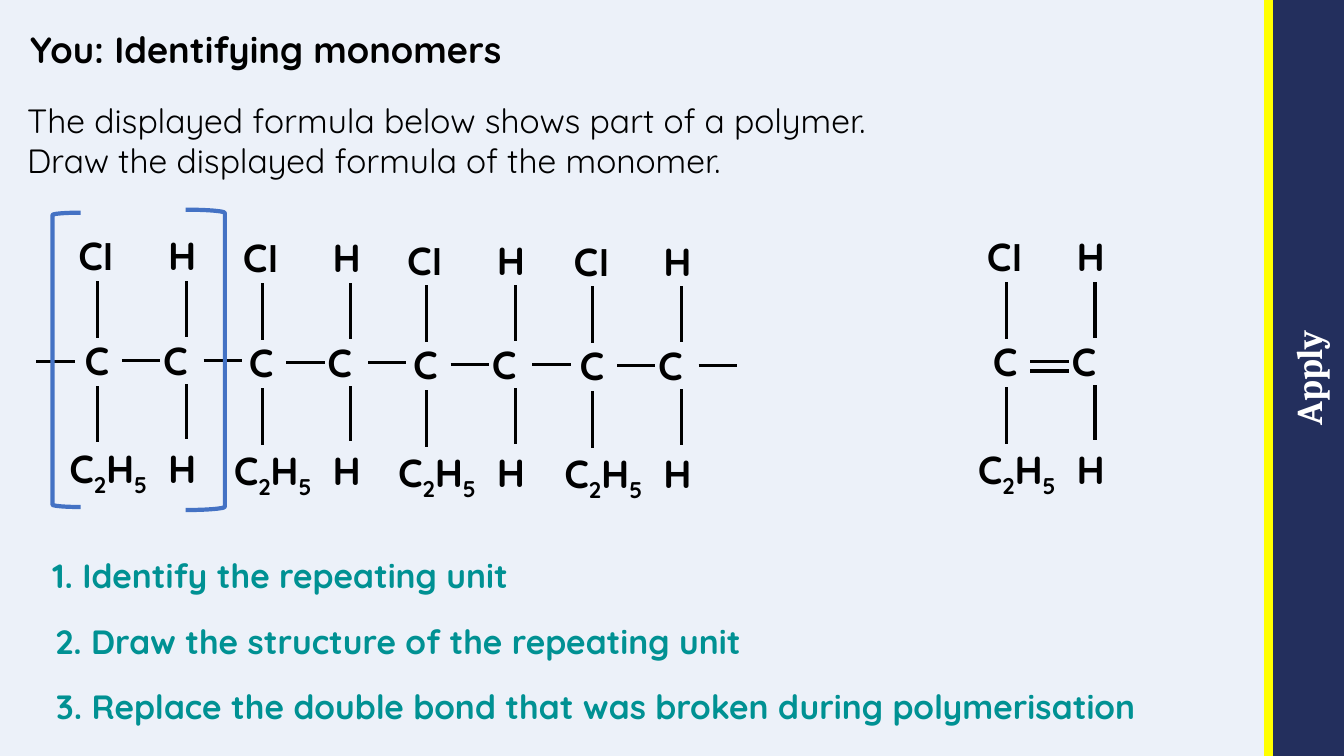
from lxml import etree
from pptx import Presentation
from pptx import util as u
from pptx.dml.color import RGBColor
from pptx.enum import shapes, text
from pptx.oxml.ns import qn

SIZE = (13.33, 7.5)
PAPER, NAVY, YELLOW, BLUE = "ECF1F9", "232F5D", "FFFF00", "4472C4"
TITLE = "You: Identifying monomers"
TASK = ["The displayed formula below shows part of a polymer.",
        "Draw the displayed formula of the monomer."]
STEPS = [  # text, left, top, width
    ("1. Identify the repeating unit", 0.42, 5.46, 4.75),
    ("2. Draw the structure of the repeating unit", 0.45, 6.11, 7.09),
    ("3. Replace the double bond that was broken during polymerisation",
     0.46, 6.76, 11.06)]

HEAD = {"size": u.Pt(26), "name": "Quicksand", "bold": True}
BODY = {"size": u.Pt(24), "name": "Quicksand", "bold": False}
STEP = {"size": u.Pt(24), "name": "Quicksand", "bold": True}
ATOM = {"size": u.Pt(28), "name": "Quicksand", "bold": True}
ELL = {**ATOM, "name": "Karla"}
SIDE = {"size": u.Pt(26), "name": "Cambria", "bold": True}

# Each unit is placed by the corner of its carbon row
CHAIN = [(0.74, 3.29), (2.37, 3.31), (4.0, 3.33), (5.65, 3.34)]
MONOMER = (9.75, 3.3)
ROWS = [  # dx, dy, width, height, tab stop, runs (text, format, baseline)
    (0, 0, 1.46, 0.59, 0.78, [("C\tC", ATOM, 0)]),
    (-0.06, -1.04, 1.56, 0.52, 0.89,
     [("C", ATOM, 0), ("l", ELL, 0), ("\tH", ATOM, 0)]),
    (-0.15, 1.07, 1.68, 0.66, 0.98,
     [("C", ATOM, 0), ("2", ATOM, -25), ("H", ATOM, 0), ("5", ATOM, -25),
      ("\tH", ATOM, 0)])]
BONDS = [  # dx, dy of both ends
    (0.23, -0.5, 0.23, 0.06), (0.23, 0.54, 0.23, 1.1),
    (1.11, -0.5, 1.11, 0.05), (1.11, 0.52, 1.11, 1.07),
    (0.47, 0.29, 0.85, 0.29)]
NEXT = (1.28, 0.29, 1.66, 0.29)
SECOND = (0.47, 0.38, 0.85, 0.38)
LEAD = (-0.38, 0.3, 0, 0.3)
BRACKETS = [(shapes.MSO_SHAPE.LEFT_BRACKET, 0.52, 2.11, 0.28, 2.92),
            (shapes.MSO_SHAPE.RIGHT_BRACKET, 1.84, 2.08, 0.39, 2.98)]


def rgb(code):
    return RGBColor.from_string(code)


def inches(*nums):
    return [u.Inches(n) for n in nums]


def write(para, words, form, color="000000", base=0):
    run = para.add_run()
    run.text = words
    for key, value in form.items():
        setattr(run.font, key, value)
    run.font.color.rgb = rgb(color)
    if base:
        run._r.get_or_add_rPr().set("baseline", str(base * 1000))


def box(slide, *at):
    frame = slide.shapes.add_textbox(*inches(*at)).text_frame
    frame.word_wrap = True
    return frame


def line(slide, ends, color="000000", width=2.25):
    link = slide.shapes.add_connector(
        shapes.MSO_CONNECTOR.STRAIGHT, *inches(*ends))
    link.line.color.rgb = rgb(color)
    link.line.width = u.Pt(width)
    etree.SubElement(link._element.spPr, qn("a:effectLst"))


def bond(slide, spot, ends):
    x, y = spot
    x1, y1, x2, y2 = ends
    line(slide, (x + x1, y + y1, x + x2, y + y2))


def unit(slide, spot, extra):
    """Draw one two-carbon group with its own bonds and one extra bond."""
    x, y = spot
    for dx, dy, wide, high, stop, runs in ROWS:
        para = box(slide, x + dx, y + dy, wide, high).paragraphs[0]
        tabs = etree.SubElement(para._p.get_or_add_pPr(), qn("a:tabLst"))
        etree.SubElement(tabs, qn("a:tab"), pos=str(u.Inches(stop)), algn="l")
        for words, form, base in runs:
            write(para, words, form, base=base)
    for ends in BONDS + [extra]:
        bond(slide, spot, ends)


def band(slide):
    side = slide.shapes.add_shape(
        shapes.MSO_SHAPE.RECTANGLE, *inches(9.22, 3.39, 7.5, 0.72))
    side.rotation = 270
    side.shadow.inherit = False
    side.fill.solid()
    side.fill.fore_color.rgb = rgb(NAVY)
    side.line.fill.background()
    frame = side.text_frame
    for edge in ("left", "top", "right", "bottom"):
        setattr(frame, "margin_" + edge, 0)
    frame.vertical_anchor = text.MSO_ANCHOR.MIDDLE
    para = frame.paragraphs[0]
    para.alignment = text.PP_ALIGN.CENTER
    write(para, "Apply", SIDE, "FFFFFF")
    line(slide, (12.58, 0, 12.58, SIZE[1]), YELLOW, 6)


def title(slide):
    head = slide.shapes.title
    head.left, head.top, head.width, head.height = inches(
        0.2, 0.12, 11.61, 0.79)
    frame = head.text_frame
    frame.auto_size = text.MSO_AUTO_SIZE.NONE
    frame.vertical_anchor = text.MSO_ANCHOR.MIDDLE
    para = frame.paragraphs[0]
    para.alignment = text.PP_ALIGN.LEFT
    para.line_spacing = 0.9
    write(para, TITLE, HEAD)


def main():
    deck = Presentation()
    deck.slide_width, deck.slide_height = inches(*SIZE)
    slide = deck.slides.add_slide(deck.slide_layouts[5])
    back = slide.background.fill
    back.solid()
    back.fore_color.rgb = rgb(PAPER)
    band(slide)
    title(slide)

    frame = box(slide, 0.17, 0.94, 11.12, 0.91)
    for i, words in enumerate(TASK):
        para = frame.add_paragraph() if i else frame.paragraphs[0]
        write(para, words, BODY)

    bond(slide, CHAIN[0], LEAD)
    for spot in CHAIN:
        unit(slide, spot, NEXT)
    unit(slide, MONOMER, SECOND)

    for kind, *at in BRACKETS:
        mark = slide.shapes.add_shape(kind, *inches(*at))
        mark.shadow.inherit = False
        mark.fill.background()
        mark.line.color.rgb = rgb(BLUE)
        mark.line.width = u.Pt(3)

    for words, x, y, wide in STEPS:
        write(box(slide, x, y, wide, 0.5).paragraphs[0], words, STEP, "009193")
    deck.save("out.pptx")


if __name__ == "__main__":
    main()
